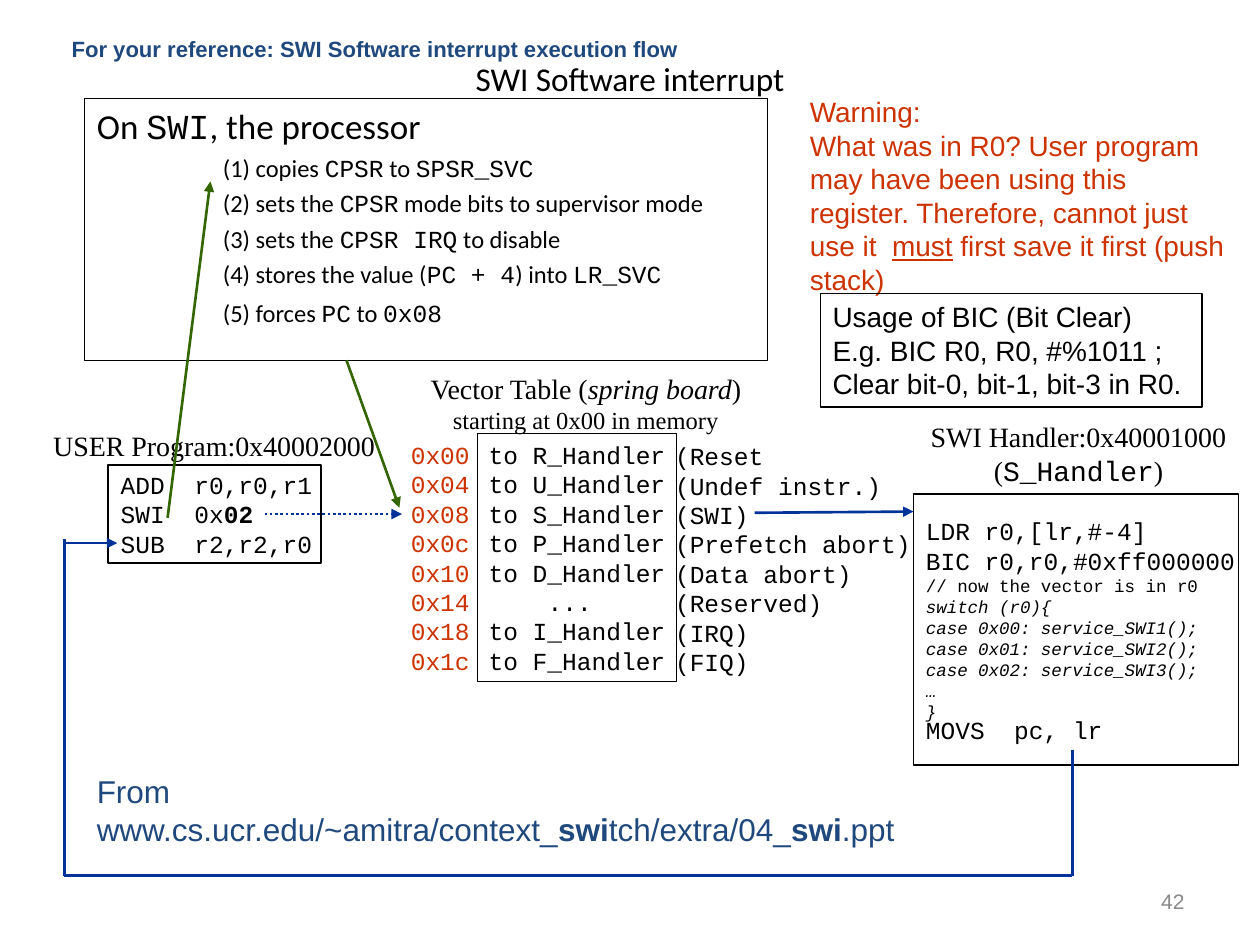
"""Build the SWI software interrupt execution flow slide."""
from lxml import etree
from pptx import Presentation
from pptx.dml.color import RGBColor
from pptx.enum.dml import MSO_LINE
from pptx.enum.shapes import MSO_CONNECTOR, MSO_SHAPE
from pptx.enum.text import MSO_ANCHOR, PP_ALIGN
from pptx.oxml.ns import qn
from pptx.util import Inches, Pt

BLACK = RGBColor(0, 0, 0)
WHITE = RGBColor(255, 255, 255)
RED = RGBColor(0xCC, 0x33, 0x00)
NAVY = RGBColor(0x1F, 0x49, 0x7D)
BLUE = RGBColor(0x00, 0x33, 0x99)
GREEN = RGBColor(0x33, 0x66, 0x00)
GREY = RGBColor(0x89, 0x89, 0x89)
LEFT, CENTER, RIGHT = PP_ALIGN.LEFT, PP_ALIGN.CENTER, PP_ALIGN.RIGHT
TOP, MIDDLE, BOTTOM = MSO_ANCHOR.TOP, MSO_ANCHOR.MIDDLE, MSO_ANCHOR.BOTTOM
RECTANGLE, STRAIGHT = MSO_SHAPE.RECTANGLE, MSO_CONNECTOR.STRAIGHT
DOTTED = MSO_LINE.ROUND_DOT

SANS, CALIBRI, SERIF, MONO = "Arial", "Calibri", "Times New Roman", "Courier New"
CODE = {"font": MONO}
BOLD, ITALIC = {"bold": True}, {"italic": True}
SMALL = {"size": 10}
SMALL_ITALIC = {"size": 10, "italic": True}

HEADING = ["On ", ("SWI", CODE), ", the processor"]
STEPS = [
    ["(1) copies ", ("CPSR", CODE), " to ", ("SPSR_SVC", CODE)],
    ["(2) sets the ", ("CPSR", CODE), " mode bits to supervisor mode"],
    ["(3) sets the ", ("CPSR IRQ", CODE), " to disable"],
    ["(4) stores the value (", ("PC + 4", CODE), ") into ", ("LR_SVC", CODE)],
    ["(5) forces ", ("PC", CODE), " to ", ("0x08", CODE)],
]
USER_CODE = ["ADD  r0,r0,r1", ["SWI  0x", ("02", BOLD)], "SUB  r2,r2,r0"]
VECTORS = [
    ("0x00", "to R_Handler", "(Reset"),
    ("0x04", "to U_Handler", "(Undef instr.)"),
    ("0x08", "to S_Handler", "(SWI)"),
    ("0x0c", "to P_Handler", "(Prefetch abort)"),
    ("0x10", "to D_Handler", "(Data abort)"),
    ("0x14", "... ", "(Reserved)"),
    ("0x18", "to I_Handler", "(IRQ)"),
    ("0x1c", "to F_Handler", "(FIQ)"),
]
TABLE_TITLE = [
    ["Vector Table (", ("spring board", ITALIC), ")"],
    [("starting at 0x00 in memory", {"size": 14})],
]
SWITCH = ["switch (r0){", "case 0x00: service_SWI1();", "case 0x01: service_SWI2();",
          "case 0x02: service_SWI3();", "…", "}"]
HANDLER_CODE = ["LDR r0,[lr,#-4]", "BIC r0,r0,#0xff000000",
                [("// now the vector is in r0", SMALL)]]
HANDLER_CODE += [[(code, SMALL_ITALIC)] for code in SWITCH]
HANDLER_TITLE = ["SWI Handler:0x40001000", ["(", ("S_Handler", CODE), ")"]]
WARNING = [
    "Warning:",
    ["What was in R0? User program may have been using this register. "
     "Therefore, cannot just use it  ", ("must", {"underline": True}),
     " first save it first (push stack)"],
]
BIC_USAGE = ["Usage of BIC (Bit Clear)", "E.g. BIC R0, R0, #%1011 ;",
             "Clear bit-0, bit-1, bit-3 in R0."]
CREDIT = ["From", ["www.cs.ucr.edu/~amitra/context_", ("swi", BOLD),
                   "tch/extra/04_", ("swi", BOLD), ".ppt"]]

RETURN_PATH = [(8.51, 5.95), (8.51, 6.95), (0.51, 6.95), (0.51, 4.28)]
ARROWS = [
    ((2.1, 4.08), (3.19, 4.08), BLUE, DOTTED),
    ((5.99, 4.07), (7.25, 4.06), BLUE, None),
    ((0.51, 4.31), (0.93, 4.31), BLUE, None),
    ((1.33, 4.11), (1.67, 1.44), GREEN, None),
    ((2.75, 2.86), (3.17, 4.03), GREEN, None),
]

prs = Presentation()
prs.slide_width, prs.slide_height = Inches(10), Inches(7.5)
s = prs.slides.add_slide(prs.slide_layouts[6])


def add_text(place, paragraphs, size=14, font=MONO, color=BLACK, align=LEFT,
             anchor=MIDDLE, wrap=False, border=None, fill=None, bottom=0.05, **style):
    """Add a text box, or a rectangle if it has a border, and return its frame."""
    place = [Inches(v) for v in place]
    if border:
        sp = s.shapes.add_shape(RECTANGLE, *place)
        sp.shadow.inherit = False
        sp.line.color.rgb = BLACK
        sp.line.width = Pt(border)
        if fill is None:
            sp.fill.background()
        else:
            sp.fill.solid()
            sp.fill.fore_color.rgb = fill
    else:
        sp = s.shapes.add_textbox(*place)
    tf = sp.text_frame
    tf.word_wrap = wrap
    tf.vertical_anchor = anchor
    tf.margin_bottom = Inches(bottom)
    base = {"size": size, "font": font, **style}
    for i, runs in enumerate(paragraphs):
        p = tf.add_paragraph() if i else tf.paragraphs[0]
        p.alignment = align
        for run in [runs] if isinstance(runs, str) else runs:
            text, extra = (run, {}) if isinstance(run, str) else run
            look = {**base, **extra}
            r = p.add_run()
            r.text = text
            r.font.size = Pt(look["size"])
            r.font.name = look["font"]
            r.font.color.rgb = color
            r.font.bold = look.get("bold")
            r.font.italic = look.get("italic")
            r.font.underline = look.get("underline")
    return tf


def add_line(start, end, color=BLUE, dash=None, arrow=True):
    """Add a straight line, with an arrowhead at its end if wanted."""
    cx = s.shapes.add_connector(STRAIGHT, *[Inches(v) for v in (*start, *end)])
    cx.line.color.rgb = color
    cx.line.width = Pt(1.5)
    if dash:
        cx.line.dash_style = dash
    if arrow:
        etree.SubElement(cx.line._get_or_add_ln(), qn("a:tailEnd"), type="triangle")
    etree.SubElement(cx._element.spPr, qn("a:effectLst"))


add_text((0.5, 0.43, 9, 0.38), ["SWI Software interrupt"], size=19, font=CALIBRI,
         align=CENTER)
tf = add_text((0.67, 0.78, 5.42, 2.08), [HEADING] + STEPS, font=CALIBRI, anchor=TOP,
              wrap=True, border=0.75)
for r in tf.paragraphs[0].runs:
    r.font.size = Pt(20)
for p in tf.paragraphs[1:]:
    p.space_before = Pt(3.5)
    p._p.get_or_add_pPr().set("marL", str(Inches(1)))
tf.paragraphs[-1].space_before = Pt(5.5)

add_text((0.86, 3.69, 1.69, 0.78), USER_CODE, border=1, fill=WHITE)
add_text((0.2, 3.35, 3, 0.37), ["USER Program:0x40002000"], size=16, font=SERIF,
         align=CENTER)

addresses, targets, causes = zip(*VECTORS)
add_text((3.79, 3.44, 1.58, 1.97), targets, align=CENTER, border=1, fill=WHITE)
add_text((3.25, 2.9, 2.8, 0.6), TABLE_TITLE, size=16, font=SERIF, align=CENTER)
add_text((3.16, 3.44, 0.67, 1.97), addresses, color=RED, align=CENTER)
add_text((5.26, 3.45, 2.07, 1.97), causes)

add_text((7.25, 3.92, 2.58, 2.15), HANDLER_CODE, border=1, fill=WHITE, bottom=0.21)
add_text((7.25, 5.61, 1.69, 0.36), ["MOVS  pc, lr"])
add_text((7.16, 3.28, 2.8, 0.64), HANDLER_TITLE, size=16, font=SERIF, align=CENTER)

for start, end in zip(RETURN_PATH, RETURN_PATH[1:]):
    add_line(start, end, arrow=False)
for start, end, color, dash in ARROWS:
    add_line(start, end, color, dash)

add_text((6.33, 0.7, 3.5, 1.7), WARNING, size=16, font=SANS, color=RED, wrap=True)
add_text((0.67, 6.08, 6.56, 0.7), CREDIT, size=18, font=SANS, color=NAVY, anchor=TOP)
add_text((6.51, 2.33, 3.03, 0.9), BIC_USAGE, size=16, font=SANS, anchor=TOP, border=0.75)
add_text((0.47, 0.21, 9.5, 0.33),
         ["For your reference: SWI Software interrupt execution flow"],
         size=12.6, font=SANS, color=NAVY, anchor=BOTTOM, wrap=True, bold=True)
add_text((7.17, 6.95, 2.33, 0.4), ["42"], size=12, font=SANS, color=GREY, align=RIGHT,
         wrap=True)

prs.save("out.pptx")
